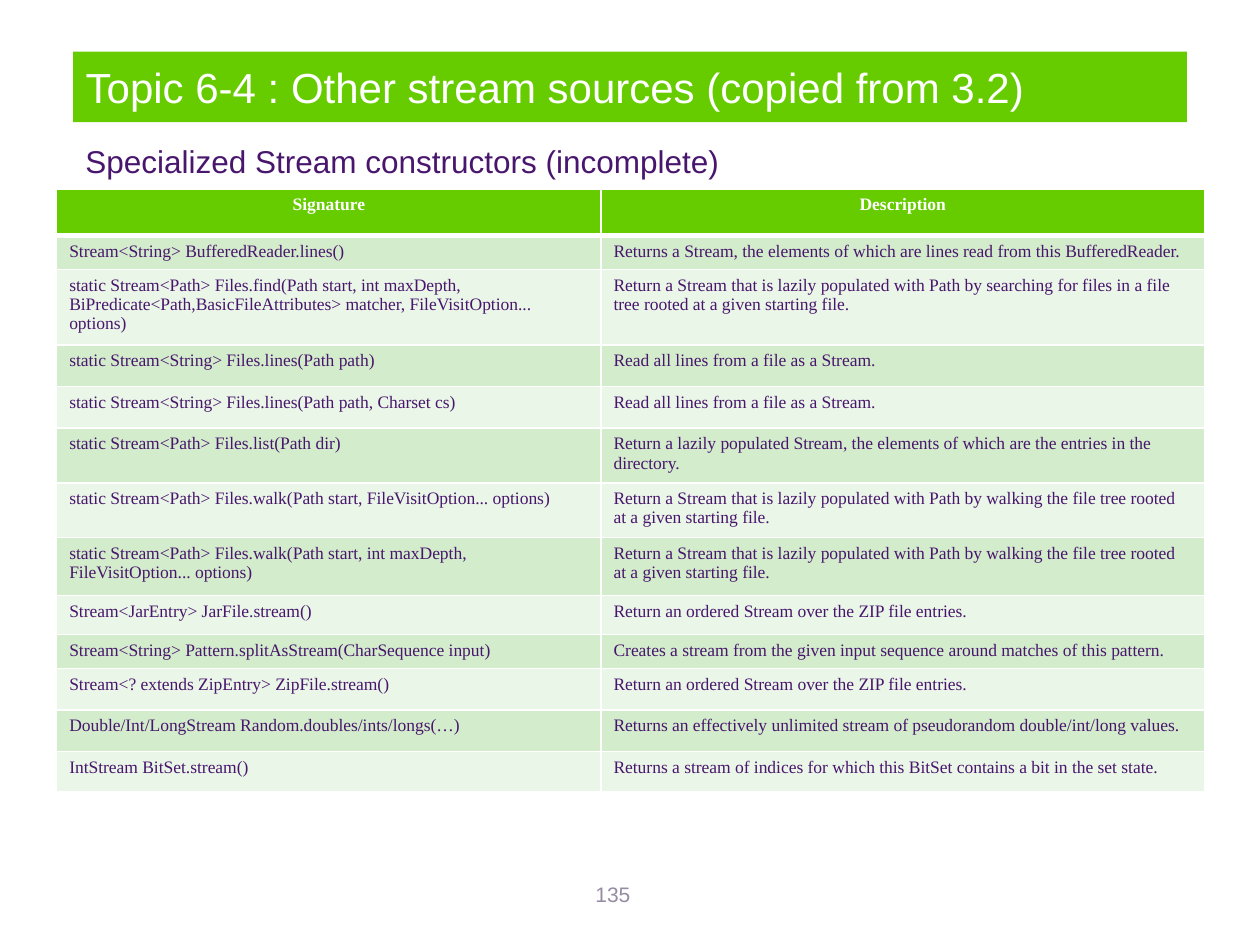
from lxml import etree
from pptx import Presentation
from pptx.dml.color import RGBColor
from pptx.enum.text import MSO_ANCHOR, MSO_AUTO_SIZE, PP_ALIGN
from pptx.oxml.ns import qn
from pptx.util import Inches, Pt

LEFT, CENTER = PP_ALIGN.LEFT, PP_ALIGN.CENTER
TOP, MIDDLE = MSO_ANCHOR.TOP, MSO_ANCHOR.MIDDLE
NO_FIT = MSO_AUTO_SIZE.NONE

COLORS = {
    "green": "66CC00",
    "band_dark": "D3ECCC",
    "band_light": "EAF6E7",
    "purple": "49166D",
    "gray": "958CA3",
    "white": "FFFFFF",
}
SANS, SERIF = "Arial", "Times New Roman"

COLUMN_WIDTHS = (4.32, 4.79)
ROW_HEIGHTS = (0.37, 0.26, 0.56, 0.33, 0.33, 0.4, 0.41,
               0.46, 0.31, 0.27, 0.33, 0.33, 0.32)
WALK_DESCRIPTION = ("Return a Stream that is lazily populated with Path by walking "
                    "the file tree rooted at a given starting file.")
ROWS = (
    ("Signature", "Description"),
    ("Stream<String> BufferedReader.lines()",
     "Returns a Stream, the elements of which are lines read from this BufferedReader."),
    ("static Stream<Path> Files.find(Path start, int maxDepth, "
     "BiPredicate<Path,BasicFileAttributes> matcher, FileVisitOption... options)",
     "Return a Stream that is lazily populated with Path by searching for files "
     "in a file tree rooted at a given starting file."),
    ("static Stream<String> Files.lines(Path path)",
     "Read all lines from a file as a Stream."),
    ("static Stream<String> Files.lines(Path path, Charset cs)",
     "Read all lines from a file as a Stream."),
    ("static Stream<Path> Files.list(Path dir)",
     "Return a lazily populated Stream, the elements of which are the entries "
     "in the directory."),
    ("static Stream<Path> Files.walk(Path start, FileVisitOption... options)",
     WALK_DESCRIPTION),
    ("static Stream<Path> Files.walk(Path start, int maxDepth, FileVisitOption... options)",
     WALK_DESCRIPTION),
    ("Stream<JarEntry> JarFile.stream()",
     "Return an ordered Stream over the ZIP file entries."),
    ("Stream<String> Pattern.splitAsStream(CharSequence input)",
     "Creates a stream from the given input sequence around matches of this pattern."),
    ("Stream<? extends ZipEntry> ZipFile.stream()",
     "Return an ordered Stream over the ZIP file entries."),
    ("Double/Int/LongStream Random.doubles/ints/longs(…)",
     "Returns an effectively unlimited stream of pseudorandom double/int/long values."),
    ("IntStream BitSet.stream()",
     "Returns a stream of indices for which this BitSet contains a bit in the set state."),
)


def rgb(name):
    return RGBColor.from_string(COLORS[name])


def write(frame, text, size, color, font=SANS, align=LEFT, bold=False):
    frame.text = text
    frame.word_wrap = True
    para = frame.paragraphs[0]
    para.alignment = align
    span = para.runs[0].font
    span.name, span.size, span.bold = font, Pt(size), bold
    span.color.rgb = rgb(color)


def place_title(page, box, text):
    title = page.shapes.title
    title.left, title.top, title.width, title.height = box
    title.fill.solid()
    title.fill.fore_color.rgb = rgb("green")
    write(title.text_frame, text, 24, "white")
    title.text_frame.auto_size = NO_FIT
    title.text_frame.vertical_anchor = MIDDLE


def add_label(page, box, text, size, color, align=LEFT):
    label = page.shapes.add_textbox(*box)
    write(label.text_frame, text, size, color, align=align)
    label.text_frame.vertical_anchor = TOP


def set_borders(cell, widths):
    """Draw white cell borders; widths maps lnL, lnR, lnT and lnB to points."""
    properties = cell._tc.get_or_add_tcPr()
    for index, (side, width) in enumerate(widths.items()):
        line = etree.Element(qn("a:" + side), w=str(Pt(width)))
        fill = etree.SubElement(line, qn("a:solidFill"))
        etree.SubElement(fill, qn("a:srgbClr"), val=COLORS["white"])
        properties.insert(index, line)


def add_stream_table(page, box):
    table = page.shapes.add_table(len(ROWS), len(COLUMN_WIDTHS), *box).table
    for column, width in zip(table.columns, COLUMN_WIDTHS):
        column.width = Inches(width)
    for index, (row, height, texts) in enumerate(zip(table.rows, ROW_HEIGHTS, ROWS)):
        row.height = Inches(height)
        header = index == 0
        band = "green" if header else ("band_light", "band_dark")[index % 2]
        borders = {"lnL": 1, "lnR": 1, "lnT": 3 if index == 1 else 1,
                   "lnB": 3 if header else 1}
        for cell, text in zip(row.cells, texts):
            write(cell.text_frame, text, 10, "white" if header else "purple",
                  SERIF, CENTER if header else LEFT, header)
            cell.fill.solid()
            cell.fill.fore_color.rgb = rgb(band)
            set_borders(cell, borders)


def inches(*lengths):
    return [Inches(length) for length in lengths]


def main():
    deck = Presentation()
    deck.slide_width, deck.slide_height = inches(10, 7.5)
    page = deck.slides.add_slide(deck.slide_layouts[5])
    place_title(page, inches(0.58, 0.41, 8.84, 0.56),
                "Topic 6-4 : Other stream sources (copied from 3.2)")
    add_label(page, inches(0.58, 1.08, 8.84, 0.42),
              "Specialized Stream constructors (incomplete)", 18, "purple")
    add_stream_table(page, inches(0.45, 1.5, sum(COLUMN_WIDTHS), sum(ROW_HEIGHTS)))
    add_label(page, inches(3.7, 6.95, 2.33, 0.4), "135", 12, "gray", CENTER)
    deck.save("out.pptx")


if __name__ == "__main__":
    main()
